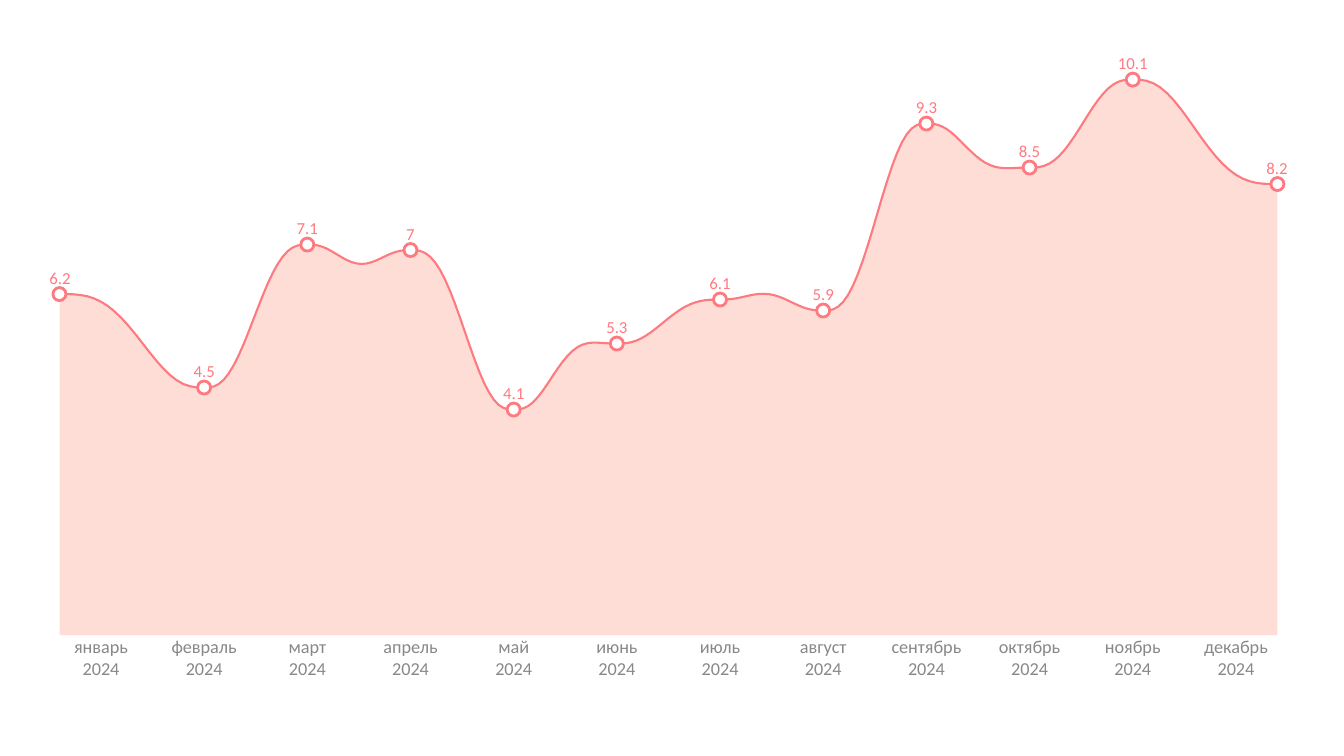
from pptx import Presentation
from pptx.dml.color import RGBColor
from pptx.enum.shapes import MSO_SHAPE as Preset
from pptx.enum.text import MSO_ANCHOR as Anchor, PP_ALIGN as Align
from pptx.util import Inches, Pt

AREA_PINK = RGBColor(0xFF, 0xDD, 0xD7)
LINE_CORAL = RGBColor(0xFE, 0x7A, 0x81)
MONTH_GREY = RGBColor(0x88, 0x88, 0x88)
WHITE = RGBColor(0xFF, 0xFF, 0xFF)
FONT = "Calibri"

YEAR = "2024"
MONTHS = ["январь", "февраль", "март", "апрель", "май", "июнь", "июль",
          "август", "сентябрь", "октябрь", "ноябрь", "декабрь"]
VALUES = [6.2, 4.5, 7.1, 7, 4.1, 5.3, 6.1, 5.9, 9.3, 8.5, 10.1, 8.2]
# How far the curve rises above the middle of each step, in value units
BOWS = [0.2, 0.05, -0.3, 0.11, 0.33, 0.06, 0.19, -0.09, -0.22, -0.04, -0.2]

SLIDE_WIDTH, SLIDE_HEIGHT = Inches(13.33), Inches(7.5)
CURVE_STEPS = 21
LABEL_HEIGHT = Inches(0.39)
MARKER_SIZE = Inches(0.13)
EDGE_INSET = Inches(0.1)


def smooth_curve(points, unit):
    """Points of a curve that runs level through every data point."""
    curve = [points[0]]
    for (x1, y1), (x2, y2), bow in zip(points, points[1:], BOWS):
        for step in range(1, CURVE_STEPS + 1):
            t = step / CURVE_STEPS
            ease = t ** 3 * (10 - 15 * t + 6 * t ** 2)
            bump = 64 * (t * (1 - t)) ** 3
            curve.append((x1 + (x2 - x1) * t,
                          y1 + (y2 - y1) * ease - bow * unit * bump))
    return curve


def add_outline(shapes, points, close):
    builder = shapes.build_freeform(*points[0])
    builder.add_line_segments(points[1:], close=close)
    shape = builder.convert_to_shape()
    shape.shadow.inherit = False
    return shape


def add_label(shapes, box, lines, size, color, align, anchor):
    text_frame = shapes.add_textbox(*box).text_frame
    text_frame.margin_left = text_frame.margin_right = 0
    text_frame.margin_top = text_frame.margin_bottom = 0
    text_frame.word_wrap = True
    text_frame.vertical_anchor = anchor
    text_frame.text = "\n".join(lines)
    for paragraph in text_frame.paragraphs:
        paragraph.alignment = align
        font = paragraph.runs[0].font
        font.name, font.size = FONT, Pt(size)
        font.color.rgb = color


def add_marker(shapes, x, y):
    marker = shapes.add_shape(Preset.OVAL, x - MARKER_SIZE // 2, y - MARKER_SIZE // 2,
                              MARKER_SIZE, MARKER_SIZE)
    marker.shadow.inherit = False
    marker.fill.solid()
    marker.fill.fore_color.rgb = WHITE
    marker.line.color.rgb = LINE_CORAL
    marker.line.width = Pt(2)


def add_area_graph(slide, left, top, width, height):
    shapes = slide.shapes.add_group_shape().shapes
    column = width / len(MONTHS)
    unit = height / max(VALUES)
    bottom = top + height

    # Data points sit mid-column, except the two at the edges
    xs = [left + column * (index + 0.5) for index in range(len(MONTHS))]
    xs[0], xs[-1] = left + EDGE_INSET, left + width - EDGE_INSET
    points = [(round(x), round(bottom - value * unit)) for x, value in zip(xs, VALUES)]
    curve = smooth_curve(points, unit)

    # Filled area
    area = add_outline(shapes, [(xs[0], bottom), *curve, (xs[-1], bottom)], True)
    area.fill.solid()
    area.fill.fore_color.rgb = AREA_PINK
    area.line.fill.background()

    # Curve
    line = add_outline(shapes, curve, False)
    line.fill.background()
    line.line.color.rgb = LINE_CORAL
    line.line.width = Pt(1.5)

    # Months, values and markers
    aligns = [Align.LEFT] + [Align.CENTER] * (len(MONTHS) - 2) + [Align.RIGHT]
    for index, (month, value, align, (x, y)) in enumerate(
            zip(MONTHS, VALUES, aligns, points)):
        cell_left = round(left + column * index)
        value_top = y - MARKER_SIZE // 2 - LABEL_HEIGHT
        add_label(shapes, (cell_left, bottom, round(column), LABEL_HEIGHT),
                  [month, YEAR], 13, MONTH_GREY, Align.CENTER, Anchor.TOP)
        add_label(shapes, (cell_left, value_top, round(column), LABEL_HEIGHT),
                  [str(value)], 12, LINE_CORAL, align, Anchor.BOTTOM)
        add_marker(shapes, x, y)


def main():
    presentation = Presentation()
    presentation.slide_width, presentation.slide_height = SLIDE_WIDTH, SLIDE_HEIGHT
    slide = presentation.slides.add_slide(presentation.slide_layouts[6])
    add_area_graph(slide, Inches(0.49), Inches(0.79), Inches(12.28), Inches(5.51))
    presentation.save("out.pptx")


if __name__ == "__main__":
    main()
